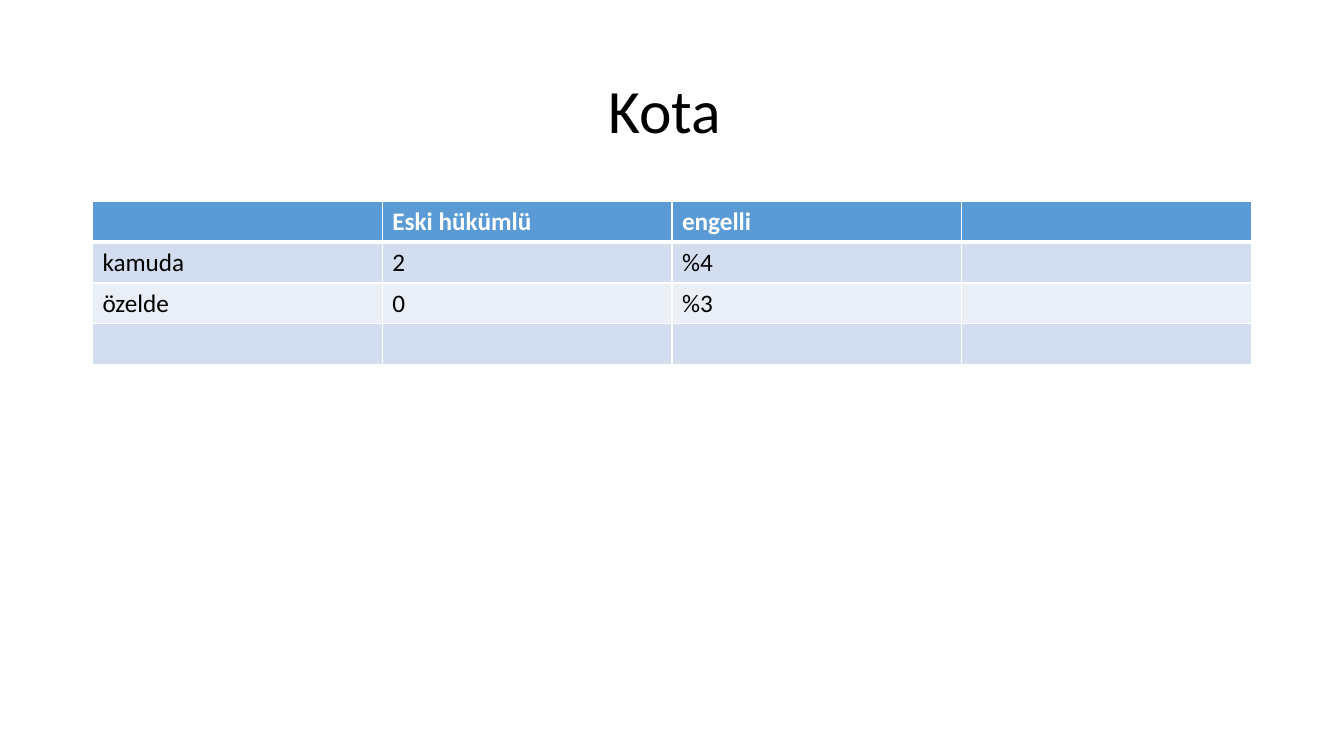
"""Build the quota slide: a centred title above a banded table."""
import pptx
import pptx.dml.color
import pptx.enum.text
import pptx.oxml.ns
import pptx.util
from lxml import etree

Cm = pptx.util.Cm
Pt = pptx.util.Pt
RGBColor = pptx.dml.color.RGBColor

BLACK = RGBColor(0x00, 0x00, 0x00)
WHITE = RGBColor(0xFF, 0xFF, 0xFF)
HEADER_BLUE = RGBColor(0x5B, 0x9B, 0xD5)
BANDS = (RGBColor(0xEA, 0xEF, 0xF7), RGBColor(0xD2, 0xDE, 0xEF))

QUOTAS = [
    ["", "Eski hükümlü", "engelli", ""],
    ["kamuda", "2", "%4", ""],
    ["özelde", "0", "%3", ""],
    ["", "", "", ""],
]


class SlideBuilder:
    """Hold the text style and the current slide."""

    def __init__(self, slide, font="Calibri"):
        self.slide = slide
        self.font = font

    def style(self, paragraph, size, color, bold=False):
        """Format a paragraph and its runs."""
        for font in [paragraph.font] + [run.font for run in paragraph.runs]:
            font.name = self.font
            font.size = Pt(size)
            font.bold = bold
            font.color.rgb = color

    def title(self, text, left, top, width, height):
        """Add a centred title."""
        frame = self.slide.shapes.add_textbox(left, top, width, height).text_frame
        frame.word_wrap = True
        frame.vertical_anchor = pptx.enum.text.MSO_ANCHOR.MIDDLE
        heading = frame.paragraphs[0]
        heading.text = text
        heading.alignment = pptx.enum.text.PP_ALIGN.CENTER
        heading.line_spacing = 0.9
        self.style(heading, 44, BLACK)

    def border(self, cell, side, points):
        """Draw one white edge of a cell."""
        line = etree.SubElement(
            cell._tc.get_or_add_tcPr(),
            pptx.oxml.ns.qn(f"a:ln{side}"),
            w=str(Pt(points)),
        )
        fill = etree.SubElement(line, pptx.oxml.ns.qn("a:solidFill"))
        etree.SubElement(fill, pptx.oxml.ns.qn("a:srgbClr"), val=str(WHITE))

    def table(self, rows, left, top, width, height):
        """Add a table with a header row and banded body rows."""
        grid = self.slide.shapes.add_table(
            len(rows), len(rows[0]), left, top, width, height
        ).table
        for row_index, row in enumerate(rows):
            header = row_index == 0
            edges = {"L": 1, "R": 1, "T": 3 if row_index == 1 else 1, "B": 3 if header else 1}
            for column_index, text in enumerate(row):
                cell = grid.cell(row_index, column_index)
                for side, points in edges.items():
                    self.border(cell, side, points)
                cell.fill.solid()
                cell.fill.fore_color.rgb = HEADER_BLUE if header else BANDS[row_index % 2]
                cell.text_frame.text = text
                self.style(cell.text_frame.paragraphs[0], 18, WHITE if header else BLACK, header)


def main():
    """Create the slide and save it."""
    presentation = pptx.Presentation()
    presentation.slide_width = Cm(33.87)
    presentation.slide_height = Cm(19.05)
    builder = SlideBuilder(presentation.slides.add_slide(presentation.slide_layouts[6]))
    left, width = Cm(2.33), Cm(29.21)
    builder.title("Kota ", left, Cm(1.01), width, Cm(3.68))
    builder.table(QUOTAS, left, Cm(5.07), width, Cm(4.12))
    presentation.save("out.pptx")


if __name__ == "__main__":
    main()
